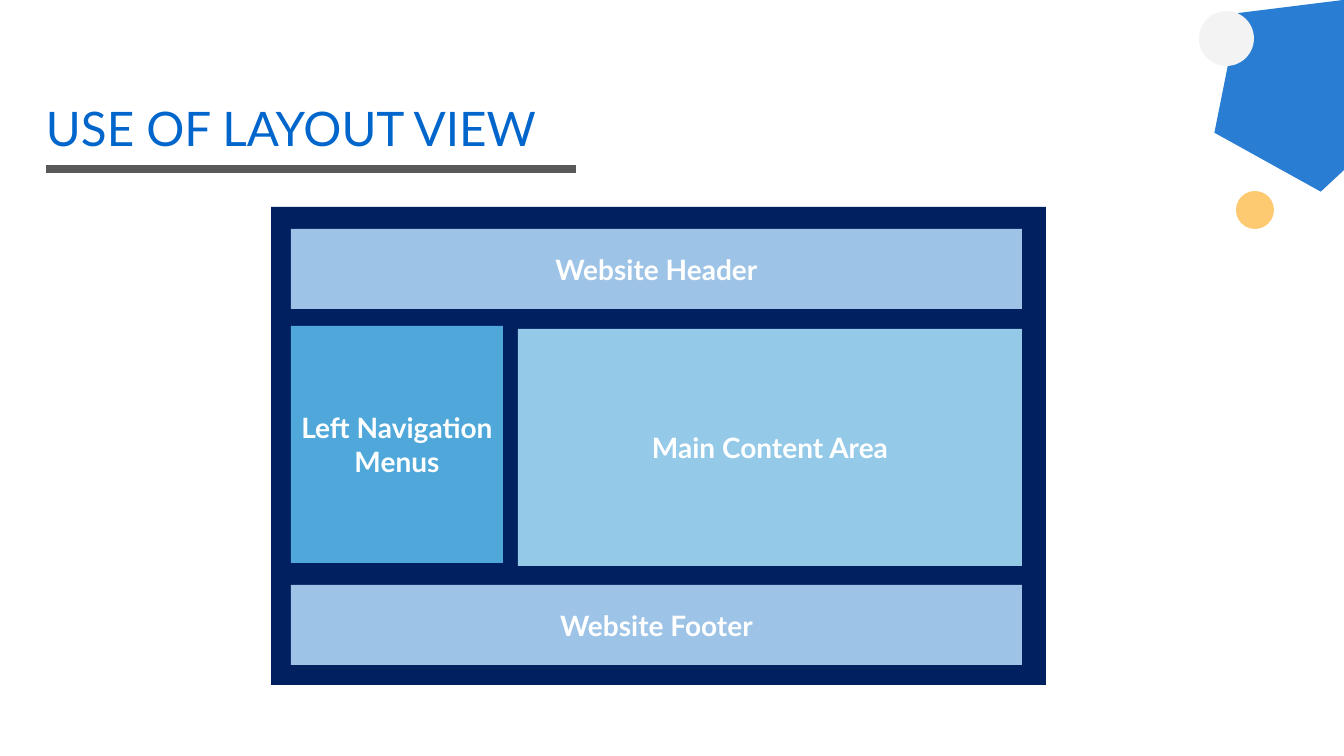
from lxml import etree
from pptx import Presentation
from pptx.dml.color import RGBColor
from pptx.enum.shapes import MSO_CONNECTOR, MSO_SHAPE
from pptx.enum.text import MSO_ANCHOR, PP_ALIGN
from pptx.oxml.ns import qn
from pptx.util import Pt

SLIDE_WIDTH, SLIDE_HEIGHT = 1344, 756
SCALE = 12192000 / SLIDE_WIDTH
TITLE_ONLY = 5
FONT = "Lato"
RECTANGLE, OVAL, PENTAGON = MSO_SHAPE.RECTANGLE, MSO_SHAPE.OVAL, MSO_SHAPE.REGULAR_PENTAGON
STRAIGHT = MSO_CONNECTOR.STRAIGHT
MIDDLE = MSO_ANCHOR.MIDDLE
LEFT, CENTER = PP_ALIGN.LEFT, PP_ALIGN.CENTER


def px(length):
    return round(length * SCALE)


def color(hex_code):
    return RGBColor.from_string(hex_code)


def add_filled(shapes, kind, box, fill, opacity=100):
    shape = shapes.add_shape(kind, *map(px, box))
    shape.shadow.inherit = False
    shape.fill.solid()
    shape.fill.fore_color.rgb = color(fill)
    shape.line.fill.background()
    if opacity < 100:
        tint = shape.fill._xPr.find(qn("a:solidFill"))[0]
        etree.SubElement(tint, qn("a:alpha"), val=str(opacity * 1000))
    return shape


def write(frame, text, size, hex_code, align, bold, margins):
    frame.word_wrap = True
    frame.vertical_anchor = MIDDLE
    frame.margin_left = frame.margin_right = px(margins[0])
    frame.margin_top = frame.margin_bottom = px(margins[1])
    para = frame.paragraphs[0]
    para.alignment = align
    span = para.add_run()
    span.text = text
    span.font.name = FONT
    span.font.size = Pt(size)
    span.font.bold = bold
    span.font.color.rgb = color(hex_code)
    return para


def add_heading(page, box):
    left, top, width, height = box
    title = page.shapes.title
    title.left, title.top, title.width, title.height = map(px, box)
    para = write(title.text_frame, "USE OF LAYOUT VIEW", 34, "0066CC", LEFT, False, (0, 0))
    para.line_spacing = 0.9
    rule_top = top + height + 3
    rule = page.shapes.add_connector(
        STRAIGHT, px(left), px(rule_top), px(left + 530), px(rule_top))
    rule.line.color.rgb = color("595959")
    rule.line.width = Pt(6)
    etree.SubElement(rule._element.spPr, qn("a:effectLst"))


def add_corner(page, box):
    left, top = box[:2]
    pentagon = add_filled(page.shapes, PENTAGON, (left + 4, top - 12, 198, 187), "0066CC", 84)
    pentagon.rotation = 317.1
    add_filled(page.shapes, OVAL, (left + 37, top + 191, 38, 38), "FCA106", 57)
    add_filled(page.shapes, OVAL, (left, top + 11, 55, 55), "F3F3F3")


def add_website_layout(page, box):
    left, top, width, height = box
    inset, band_height, middle_height = 20, 80, 237
    nav_width, gap = 212, 15
    inner_width = width - 2 * inset - 4
    main_left = inset + nav_width + gap
    main_width = inner_width - nav_width - gap
    footer_top = height - inset - band_height
    regions = [
        ("Website Header", inset, 22, inner_width, band_height, "9DC3E6"),
        ("Website Footer", inset, footer_top, inner_width, band_height, "9DC3E6"),
        ("Left Navigation Menus", inset, 119, nav_width, middle_height, "4FA8D9"),
        ("Main Content Area", main_left, 122, main_width, middle_height, "94CAE8"),
    ]
    group = page.shapes.add_group_shape()
    add_filled(group.shapes, RECTANGLE, box, "002060")
    for label, x, y, region_width, region_height, fill in regions:
        region_box = (left + x, top + y, region_width, region_height)
        region = add_filled(group.shapes, RECTANGLE, region_box, fill)
        write(region.text_frame, label, 20, "FFFFFF", CENTER, True, (8, 5))


def main():
    deck = Presentation()
    deck.slide_width, deck.slide_height = px(SLIDE_WIDTH), px(SLIDE_HEIGHT)
    page = deck.slides.add_slide(deck.slide_layouts[TITLE_ONLY])
    add_corner(page, (1199, 0, 145, 230))
    add_heading(page, (46, 97, 1252, 69))
    add_website_layout(page, (271, 207, 775, 478))
    deck.save("out.pptx")


if __name__ == "__main__":
    main()
